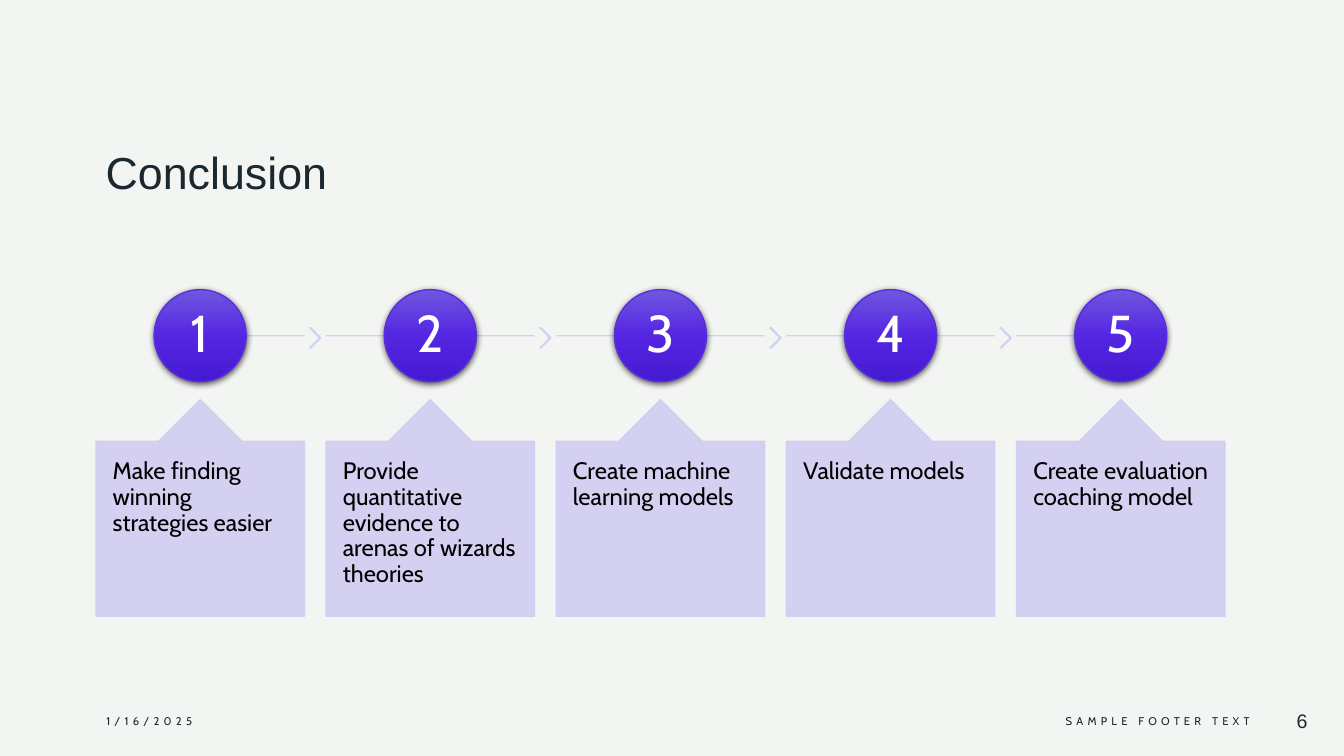
import pptx
import pptx.dml.color
import pptx.enum.shapes
import pptx.enum.text
import pptx.oxml
import pptx.oxml.ns
import pptx.util
from dataclasses import dataclass

Cm = pptx.util.Cm
Pt = pptx.util.Pt
Shape = pptx.enum.shapes.MSO_SHAPE
Align = pptx.enum.text.PP_ALIGN
Anchor = pptx.enum.text.MSO_ANCHOR
NAMESPACE = pptx.oxml.ns.nsdecls("a")


@dataclass(frozen=True)
class Theme:
    background: str = "F3F5F3"
    ink: str = "1B2830"
    card: str = "D1CDF1"
    card_text: str = "000000"
    number: str = "FFFFFF"
    circle_line: str = "592FD9"
    circle_stops: tuple = ((0, "6F56DF"), (50, "5526E2"), (100, "4619D2"))
    heading_font: str = "Arial"
    body_font: str = "Cabin"
    title_size: int = 32
    number_size: int = 37
    card_size: int = 17
    footer_size: int = 8
    page_size: int = 14


STEPS = (
    "Make finding winning strategies easier",
    "Provide quantitative evidence to arenas of wizards theories",
    "Create machine learning models",
    "Validate models",
    "Create evaluation coaching model",
)

CARD_LEFT, CARD_TOP, CARD_WIDTH, CARD_HEIGHT = 2.42, 10.07, 5.25, 5.46
STEP_PITCH = 5.8
CIRCLE_SIZE = 2.32
LINE_Y = 8.46
CHEVRON_WIDTH, CHEVRON_HEIGHT = 0.28, 0.51
CHEVRON_TOP = 8.26
FOOTER_TOP, FOOTER_HEIGHT = 17.65, 1.02


def rgb(color):
    return pptx.dml.color.RGBColor.from_string(color)


def set_alpha(fill, percent):
    color = fill._xPr.find(".//" + pptx.oxml.ns.qn("a:srgbClr"))
    color.append(pptx.oxml.parse_xml(f'<a:alpha {NAMESPACE} val="{percent * 1000}"/>'))


class StepSlide:
    def __init__(self, presentation, theme):
        self.theme = theme
        self.slide = presentation.slides.add_slide(presentation.slide_layouts[5])
        fill = self.slide.background.fill
        fill.solid()
        fill.fore_color.rgb = rgb(theme.background)

    def set_text(self, shape, text, size, color, font, align=Align.LEFT,
                 anchor=Anchor.MIDDLE, insets=(0.25, 0.13), line_spacing=1.0, tracking=0):
        frame = shape.text_frame
        frame.text = text
        frame.word_wrap = True
        frame.vertical_anchor = anchor
        frame.margin_left = frame.margin_right = Cm(insets[0])
        frame.margin_top = frame.margin_bottom = Cm(insets[1])
        paragraph = frame.paragraphs[0]
        paragraph.alignment = align
        paragraph.line_spacing = line_spacing
        run = paragraph.runs[0]
        run.font.size = Pt(size)
        run.font.name = font
        run.font.color.rgb = rgb(color)
        if tracking:
            run.font._element.set("spc", str(tracking * 100))

    def title(self, text):
        title = self.slide.shapes.title
        title.left, title.top, title.width, title.height = Cm(2.41), Cm(1.63), Cm(29.03), Cm(3.51)
        self.set_text(title, text, self.theme.title_size, self.theme.ink,
                      self.theme.heading_font, anchor=Anchor.BOTTOM)

    def footer(self, text, left, width, size, font, align, tracking=0):
        box = self.slide.shapes.add_textbox(Cm(left), Cm(FOOTER_TOP), Cm(width), Cm(FOOTER_HEIGHT))
        self.set_text(box, text, size, self.theme.ink, font, align, tracking=tracking)

    def pale_line(self, line):
        line.color.rgb = rgb(self.theme.card)
        line.width = Pt(1)
        set_alpha(line.fill, 90)

    def pale_shape(self, kind, left, top, width, height, adjustments):
        shape = self.slide.shapes.add_shape(kind, Cm(left), Cm(top), Cm(width), Cm(height))
        shape.shadow.inherit = False
        for index, value in enumerate(adjustments):
            shape.adjustments[index] = value
        shape.fill.solid()
        shape.fill.fore_color.rgb = rgb(self.theme.card)
        set_alpha(shape.fill, 90)
        self.pale_line(shape.line)
        return shape

    def track(self, start, end):
        connector = self.slide.shapes.add_connector(
            pptx.enum.shapes.MSO_CONNECTOR.STRAIGHT, Cm(start), Cm(LINE_Y), Cm(end), Cm(LINE_Y))
        self.pale_line(connector.line)
        connector._element.spPr.append(pptx.oxml.parse_xml(f"<a:effectLst {NAMESPACE}/>"))

    def chevron(self, center):
        self.pale_shape(Shape.CHEVRON, center - CHEVRON_WIDTH / 2, CHEVRON_TOP,
                        CHEVRON_WIDTH, CHEVRON_HEIGHT, (0.9,))

    def circle(self, number, center):
        theme = self.theme
        circle = self.slide.shapes.add_shape(
            Shape.OVAL, Cm(center - CIRCLE_SIZE / 2), Cm(LINE_Y - CIRCLE_SIZE / 2),
            Cm(CIRCLE_SIZE), Cm(CIRCLE_SIZE))
        circle.line.color.rgb = rgb(theme.circle_line)
        circle.line.width = Pt(1)
        stops = "".join(f'<a:gs pos="{position * 1000}"><a:srgbClr val="{color}"/></a:gs>'
                        for position, color in theme.circle_stops)
        properties = circle._element.spPr
        properties.insert(2, pptx.oxml.parse_xml(
            f'<a:gradFill {NAMESPACE}><a:gsLst>{stops}</a:gsLst>'
            '<a:lin ang="5400000" scaled="0"/></a:gradFill>'))
        properties.append(pptx.oxml.parse_xml(
            f'<a:effectLst {NAMESPACE}><a:outerShdw blurRad="{Pt(4.5)}" dist="{Pt(1.5)}" '
            'dir="5400000" algn="ctr" rotWithShape="0"><a:srgbClr val="000000">'
            '<a:alpha val="63000"/></a:srgbClr></a:outerShdw></a:effectLst>'))
        self.set_text(circle, str(number), theme.number_size, theme.number, theme.body_font,
                      Align.CENTER, insets=(0.1, 0.1), line_spacing=0.9)

    def card(self, text, left):
        card = self.pale_shape(Shape.UP_ARROW_CALLOUT, left, CARD_TOP, CARD_WIDTH,
                               CARD_HEIGHT, (0.5, 0.2, 0.2, 1))
        self.set_text(card, text, self.theme.card_size, self.theme.card_text,
                      self.theme.body_font, anchor=Anchor.TOP, insets=(0.42, 0.45),
                      line_spacing=0.9)

    def step(self, index, text):
        left = CARD_LEFT + index * STEP_PITCH
        center, right = left + CARD_WIDTH / 2, left + CARD_WIDTH
        is_first, is_last = index == 0, index == len(STEPS) - 1
        self.track(center if is_first else left, center if is_last else right)
        if not is_last:
            self.chevron((right + left + STEP_PITCH) / 2)
        self.circle(index + 1, center)
        self.card(text, left)


def main():
    presentation = pptx.Presentation()
    presentation.slide_width, presentation.slide_height = Cm(33.87), Cm(19.05)
    theme = Theme()
    slide = StepSlide(presentation, theme)
    slide.title("Conclusion")
    slide.footer("1/16/2025", 2.43, 7.62, theme.footer_size, theme.body_font, Align.LEFT, 3)
    slide.footer("SAMPLE FOOTER TEXT", 19.81, 11.94, theme.footer_size, theme.body_font,
                 Align.RIGHT, 3)
    slide.footer("6", 31.75, 1.45, theme.page_size, theme.heading_font, Align.RIGHT)
    for index, text in enumerate(STEPS):
        slide.step(index, text)
    presentation.save("out.pptx")


if __name__ == "__main__":
    main()
